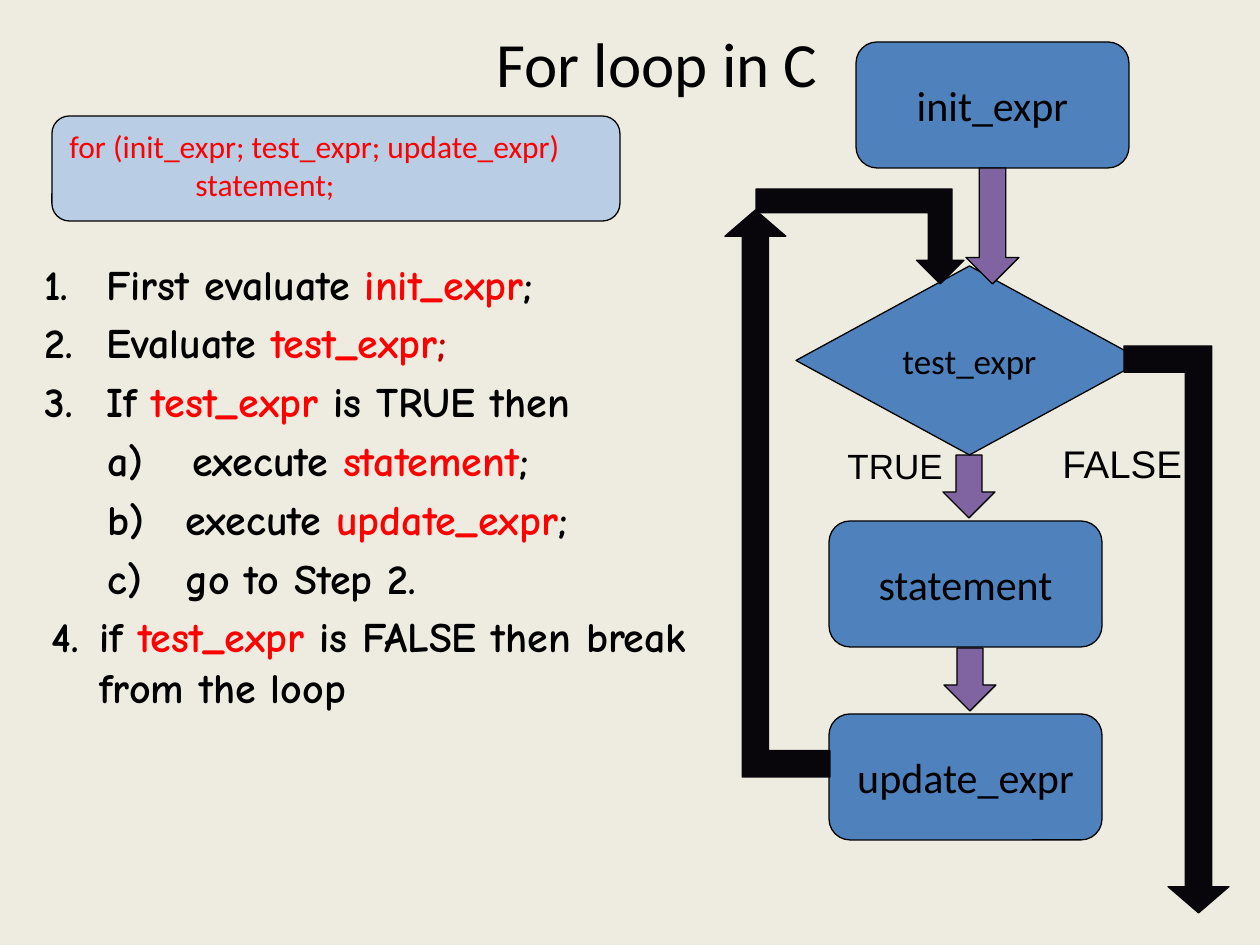
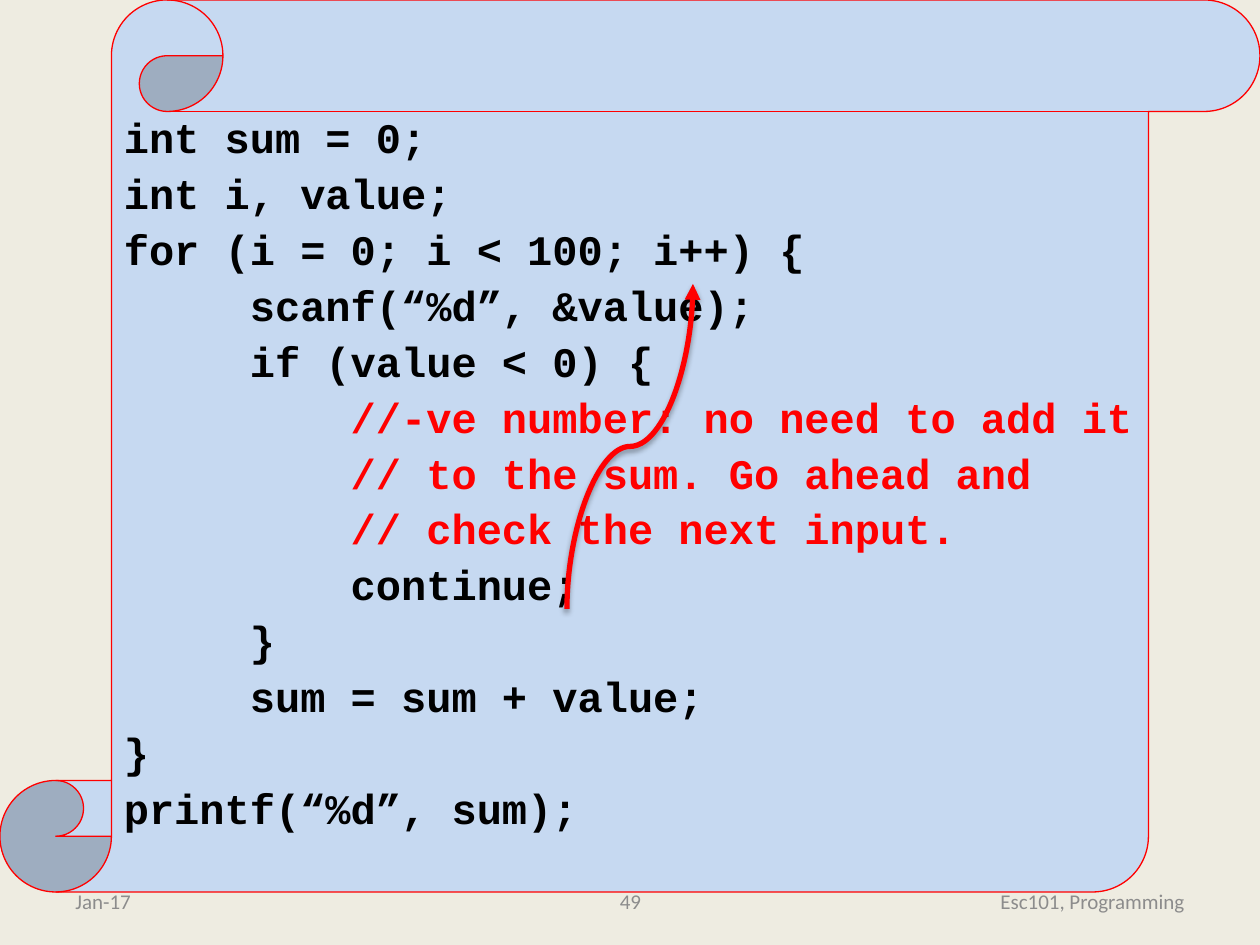
from lxml import etree
from pptx import Presentation
from pptx.dml.color import RGBColor
from pptx.enum.shapes import MSO_CONNECTOR, MSO_SHAPE
from pptx.enum.text import MSO_ANCHOR, PP_ALIGN
from pptx.oxml import parse_xml
from pptx.oxml.ns import nsdecls, qn
from pptx.util import Pt

ROUNDED, DIAMOND = MSO_SHAPE.ROUNDED_RECTANGLE, MSO_SHAPE.FLOWCHART_DECISION
DOWN, BENT, SCROLL = MSO_SHAPE.DOWN_ARROW, MSO_SHAPE.BENT_UP_ARROW, MSO_SHAPE.VERTICAL_SCROLL
CURVE = MSO_CONNECTOR.CURVE
LEFT, CENTER, RIGHT = PP_ALIGN.LEFT, PP_ALIGN.CENTER, PP_ALIGN.RIGHT
TOP, MIDDLE = MSO_ANCHOR.TOP, MSO_ANCHOR.MIDDLE

PX_PER_INCH = 126
COLORS = {
    "background": "EEECE1", "black": "000000", "red": "FF0000", "dark_red": "C00000",
    "box": "4F81BD", "arrow": "8064A2", "path": "08060B", "syntax": "B9CDE5",
    "scroll": "C6D9F1", "footer": "8C8C8C",
}
FORMATS = {
    "title": {"name": "Calibri", "size": Pt(36)},
    "steps": {"name": "Comic Neue", "size": Pt(24), "bold": True},
    "syntax": {"name": "Calibri", "size": Pt(18)},
    "box": {"name": "Calibri", "size": Pt(24)},
    "test": {"name": "Calibri", "size": Pt(20)},
    "true": {"name": "Arial", "size": Pt(20)},
    "false": {"name": "Arial", "size": Pt(22)},
    "code": {"name": "Courier New", "size": Pt(24), "bold": True},
    "footer": {"name": "Calibri", "size": Pt(12)},
}

TITLE = "For loop in C"
SYNTAX = [("for (init_expr; test_expr; update_expr)", 0), ("statement;", 126)]
STEPS = [
    (0, 62, -62, [("First evaluate ", "black"), ("init_expr", "red"), (";", "black")]),
    (0, 62, -62, [("Evaluate ", "black"), ("test_expr", "red"), (";", "dark_red")]),
    (0, 62, -62, [("If ", "black"), ("test_expr", "red"), (" is TRUE then", "black")]),
    (1, 148, -85, [("execute ", "black"), ("statement", "red"), (";", "black")]),
    (1, 141, -78, [("execute ", "black"), ("update_expr", "red"), (";", "black")]),
    (1, 141, -78, [("go to Step 2.", "black")]),
    (0, 55, -48, [("if ", "black"), ("test_expr", "red"),
                  (" is FALSE then break from the loop", "black")]),
]
NUMBERING = ["arabicPeriod", "alphaLcParenR"]

BOX_SIZE = (273, 126)
FLOW = [
    (ROUNDED, (829, 521, *BOX_SIZE), "box", "statement", "box"),
    (DOWN, (944, 648, 52, 63), "arrow", "", "box"),
    (DOWN, (943, 455, 52, 63), "arrow", "", "box"),
    (DIAMOND, (796, 266, 347, 189), "box", "test_expr", "test"),
    (ROUNDED, (829, 714, *BOX_SIZE), "box", "update_expr", "box"),
    (ROUNDED, (856, 42, *BOX_SIZE), "box", "init_expr", "box"),
    (DOWN, (966, 168, 53, 116), "arrow", "", "box"),
]
LONG_BEND = (0.25, 0.29, 0.25)
PATHS = [
    ((725, 210, 105, 567), "flipH", LONG_BEND),
    ((756, 189, 208, 95), "flipV", ()),
    ((1124, 346, 105, 567), "flipV", LONG_BEND),
]
BRANCHES = [("FALSE", (1050, 434, 146, 59), "false"), ("TRUE", (835, 438, 122, 56), "true")]

CODE = [
    ("int sum = 0;", "black"),
    ("int i, value;", "black"),
    ("for (i = 0; i < 100; i++) {", "black"),
    ("     scanf(“%d”, &value);", "black"),
    ("     if (value < 0) {", "black"),
    ("         //-ve number: no need to add it", "red"),
    ("         // to the sum. Go ahead and", "red"),
    ("         // check the next input.", "red"),
    ("         continue;", "black"),
    ("     }", "black"),
    ("     sum = sum + value;", "black"),
    ("}", "black"),
    ("printf(“%d”, sum);", "black"),
]
FOOTERS = [
    ("Jan-17", (63, 876, 294, 50), LEFT),
    ("49", (431, 876, 399, 50), CENTER),
    ("Esc101, Programming", (903, 876, 294, 50), RIGHT),
]
JUMP_START, JUMP_END = (567, 609), (693, 284)


def px(length):
    return round(length * 914400 / PX_PER_INCH)


def rgb(color):
    return RGBColor.from_string(COLORS[color])


def new_slide(presentation):
    slide = presentation.slides.add_slide(presentation.slide_layouts[6])
    slide.background.fill.solid()
    slide.background.fill.fore_color.rgb = rgb("background")
    return slide


def add_shape(slide, kind, place, fill, line="black"):
    shape = slide.shapes.add_shape(kind, *map(px, place))
    shape.shadow.inherit = False
    shape.fill.solid()
    shape.fill.fore_color.rgb = rgb(fill)
    shape.line.color.rgb = rgb(line)
    shape.line.width = Pt(0.75)
    return shape


def add_textbox(slide, place):
    return slide.shapes.add_textbox(*map(px, place))


def write(shape, paragraphs, style, align=LEFT, anchor=MIDDLE, wrap=True, before=0, spacing=None):
    frame = shape.text_frame
    frame.word_wrap, frame.vertical_anchor = wrap, anchor
    for index, runs in enumerate(paragraphs):
        paragraph = frame.paragraphs[0] if index == 0 else frame.add_paragraph()
        paragraph.alignment = align
        if spacing:
            paragraph.line_spacing = spacing
        if index and before:
            paragraph.space_before = Pt(before)
        for text, color in runs:
            run = paragraph.add_run()
            run.text = text
            run.font.color.rgb = rgb(color)
            for attribute, value in FORMATS[style].items():
                setattr(run.font, attribute, value)
    return frame


def indent(paragraph, margin, first=0):
    properties = paragraph._p.get_or_add_pPr()
    properties.set("marL", str(px(margin)))
    properties.set("indent", str(px(first)))
    return properties


def add_jump(slide):
    (start_x, start_y), (end_x, end_y) = JUMP_START, JUMP_END
    middle_x, middle_y = (start_x + end_x) / 2, (start_y + end_y) / 2
    half_width, half_height = (start_y - end_y) / 2, (end_x - start_x) / 2
    connector = slide.shapes.add_connector(
        CURVE, px(middle_x + half_width), px(middle_y + half_height),
        px(middle_x - half_width), px(middle_y - half_height))
    connector.line.color.rgb = rgb("red")
    connector.line.width = Pt(3)
    properties = connector._element.spPr
    properties.find(qn("a:xfrm")).set("rot", "5400000")
    etree.SubElement(properties.find(qn("a:ln")), qn("a:tailEnd"), type="triangle")
    properties.append(parse_xml(
        f'<a:effectLst {nsdecls("a")}><a:outerShdw blurRad="{Pt(3.1)}" dist="{Pt(1.8)}" '
        f'dir="5400000" rotWithShape="0"><a:srgbClr val="{COLORS["black"]}">'
        '<a:alpha val="35000"/></a:srgbClr></a:outerShdw></a:effectLst>'))


def build_flow_slide(presentation):
    slide = new_slide(presentation)
    write(add_textbox(slide, (54, 29, 1206, 66)), [[(TITLE, "black")]], "title", CENTER)

    steps = add_textbox(slide, (32, 252, 683, 567))
    frame = write(steps, [runs for *_, runs in STEPS], "steps", anchor=TOP, before=4.8)
    for paragraph, (level, margin, first, _) in zip(frame.paragraphs, STEPS):
        paragraph.level = level
        properties = indent(paragraph, margin, first)
        etree.SubElement(properties, qn("a:buFont"), typeface="+mj-lt")
        etree.SubElement(properties, qn("a:buAutoNum"), type=NUMBERING[level])

    syntax = add_shape(slide, ROUNDED, (52, 116, 568, 105), "syntax")
    frame = write(syntax, [[(text, "red")] for text, _ in SYNTAX], "syntax", anchor=TOP)
    for paragraph, (_, margin) in zip(frame.paragraphs, SYNTAX):
        indent(paragraph, margin)

    for kind, place, fill, label, style in FLOW:
        shape = add_shape(slide, kind, place, fill)
        if label:
            write(shape, [[(label, "black")]], style, CENTER)
    for place, flip, adjustments in PATHS:
        path_arrow = add_shape(slide, BENT, place, "path", "path")
        path_arrow._element.spPr.find(qn("a:xfrm")).set(flip, "1")
        for index, value in enumerate(adjustments):
            path_arrow.adjustments[index] = value
    for label, place, style in BRANCHES:
        write(add_textbox(slide, place), [[(label, "black")]], style, anchor=TOP, wrap=False)


def build_code_slide(presentation):
    slide = new_slide(presentation)
    for text, place, align in FOOTERS:
        write(add_textbox(slide, place), [[(text, "footer")]], "footer", align)
    scroll = add_shape(slide, SCROLL, (0, 0, 1260, 892), "scroll", "red")
    write(scroll, [[line] for line in CODE], "code", anchor=TOP, before=6, spacing=0.9)
    add_jump(slide)


def main():
    presentation = Presentation()
    presentation.slide_width, presentation.slide_height = px(1260), px(945)
    build_flow_slide(presentation)
    build_code_slide(presentation)
    presentation.save("out.pptx")


if __name__ == "__main__":
    main()
